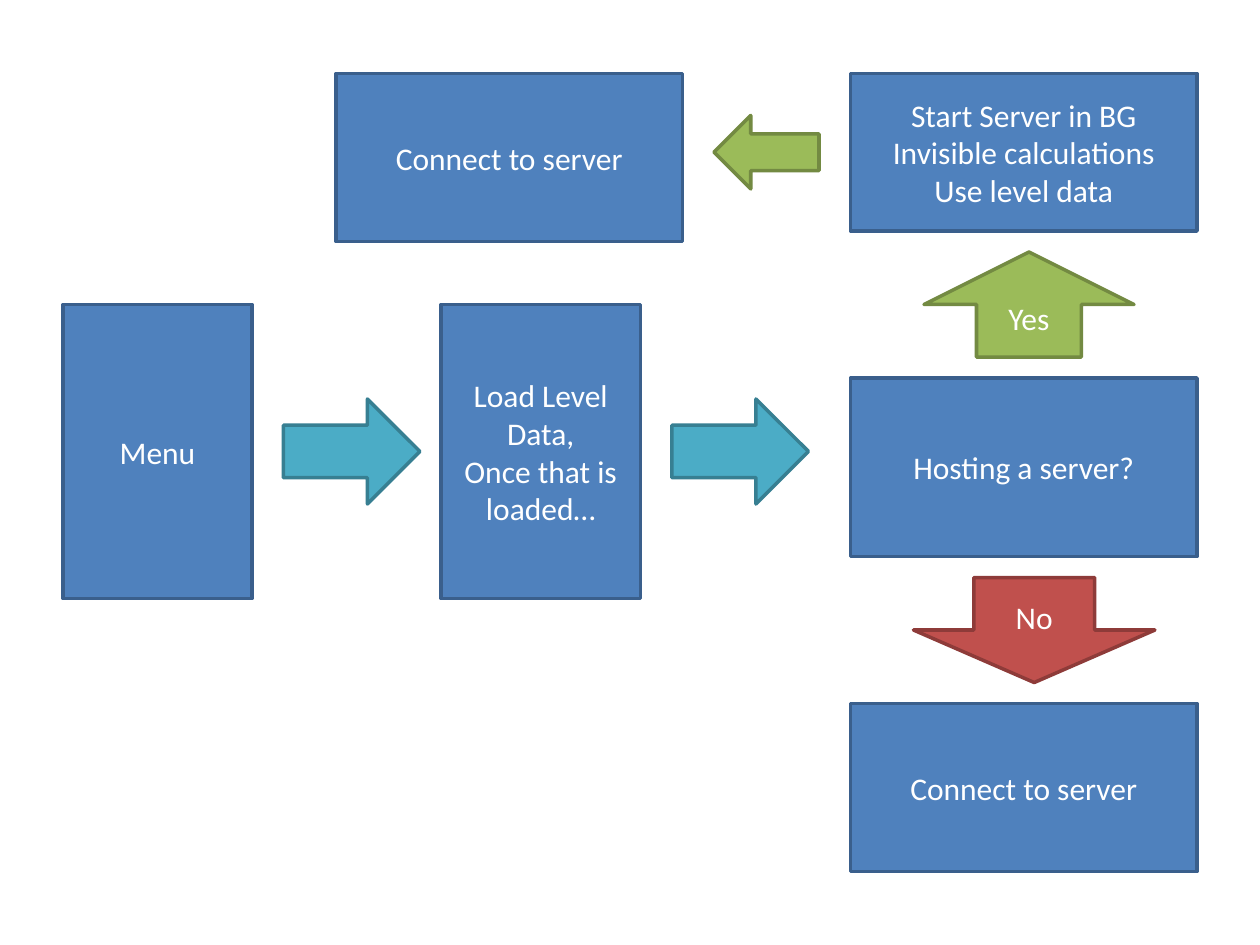
from pptx import Presentation
from pptx.dml.color import RGBColor
from pptx.enum.shapes import MSO_SHAPE
from pptx.enum.text import MSO_ANCHOR, PP_ALIGN
from pptx.util import Emu, Pt

PX = 9525
WHITE = RGBColor(0xFF, 0xFF, 0xFF)
BLUE = (RGBColor(0x4F, 0x81, 0xBD), RGBColor(0x3A, 0x5F, 0x8C))
TEAL = (RGBColor(0x4B, 0xAC, 0xC6), RGBColor(0x37, 0x7F, 0x92))
GREEN = (RGBColor(0x9B, 0xBB, 0x59), RGBColor(0x73, 0x8A, 0x42))
RED = (RGBColor(0xC0, 0x50, 0x4D), RGBColor(0x8E, 0x3B, 0x39))

STEPS = [
    ((48, 232, 144, 224), ["Menu"]),
    ((336, 232, 152, 224), ["Load Level Data,", "Once that is loaded…"]),
    ((648, 288, 264, 136), ["Hosting a server?"]),
    ((648, 56, 264, 120),
     ["Start Server in BG", "Invisible calculations", "Use level data"]),
    ((648, 536, 264, 128), ["Connect to server"]),
    ((256, 56, 264, 128), ["Connect to server"]),
]
ARROWS = [
    (MSO_SHAPE.RIGHT_ARROW, (216, 304, 104, 80), TEAL, []),
    (MSO_SHAPE.RIGHT_ARROW, (512, 304, 104, 80), TEAL, []),
    (MSO_SHAPE.UP_ARROW, (704, 192, 160, 80), GREEN, ["Yes"]),
    (MSO_SHAPE.DOWN_ARROW, (696, 440, 184, 80), RED, ["No"]),
    (MSO_SHAPE.LEFT_ARROW, (544, 88, 80, 56), GREEN, []),
]


def add_block(slide, kind, box, colours, lines):
    shape = slide.shapes.add_shape(kind, *(Emu(length * PX) for length in box))
    shape.shadow.inherit = False
    fill, outline = colours
    shape.fill.solid()
    shape.fill.fore_color.rgb = fill
    shape.line.color.rgb = outline
    shape.line.width = Pt(2)
    frame = shape.text_frame
    frame.word_wrap = True
    frame.vertical_anchor = MSO_ANCHOR.MIDDLE
    for index, line in enumerate(lines):
        paragraph = frame.add_paragraph() if index else frame.paragraphs[0]
        paragraph.alignment = PP_ALIGN.CENTER
        run = paragraph.add_run()
        run.text = line
        run.font.name = "Calibri"
        run.font.size = Pt(18)
        run.font.color.rgb = WHITE


def main():
    presentation = Presentation()
    presentation.slide_width = Emu(960 * PX)
    presentation.slide_height = Emu(720 * PX)
    slide = presentation.slides.add_slide(presentation.slide_layouts[6])
    for box, lines in STEPS:
        add_block(slide, MSO_SHAPE.RECTANGLE, box, BLUE, lines)
    for kind, box, colours, lines in ARROWS:
        add_block(slide, kind, box, colours, lines)
    presentation.save("out.pptx")


if __name__ == "__main__":
    main()
